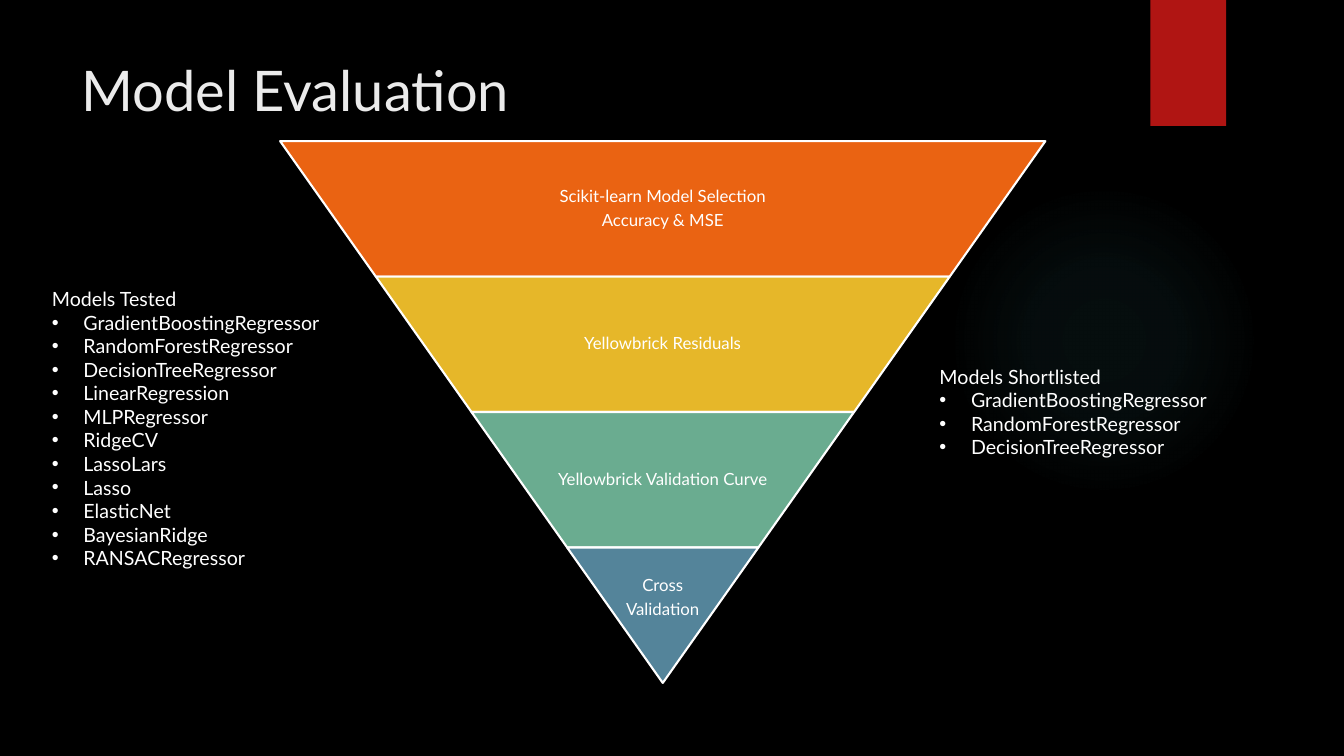
from lxml import etree
from pptx import Presentation
from pptx.dml.color import RGBColor
from pptx.enum.shapes import MSO_SHAPE
from pptx.enum.text import MSO_ANCHOR, PP_ALIGN
from pptx.oxml import parse_xml
from pptx.oxml.ns import nsdecls, qn
from pptx.util import Pt

RECT = MSO_SHAPE.RECTANGLE
OVAL = MSO_SHAPE.OVAL
TRAPEZOID = MSO_SHAPE.TRAPEZOID
TOP, MIDDLE = MSO_ANCHOR.TOP, MSO_ANCHOR.MIDDLE
LEFT, CENTER = PP_ALIGN.LEFT, PP_ALIGN.CENTER

BLACK = RGBColor(0x00, 0x00, 0x00)
WHITE = RGBColor(0xFF, 0xFF, 0xFF)
OFF_WHITE = RGBColor(0xEB, 0xEB, 0xEB)
RED = RGBColor(0xB0, 0x15, 0x13)
ORANGE = RGBColor(0xEA, 0x63, 0x12)
YELLOW = RGBColor(0xE6, 0xB7, 0x29)
GREEN = RGBColor(0x6A, 0xAC, 0x90)
BLUE = RGBColor(0x54, 0x84, 0x9A)
TEAL = RGBColor(0x50, 0xB9, 0xC1)

FUNNEL_CENTER, FUNNEL_TOP = 473.4, 100.8
LAYER_HEIGHT, LAYER_STEP = 96.75, 136.65
LAYERS = [
    (ORANGE, ["Scikit-learn Model Selection", "Accuracy & MSE"], 0),
    (YELLOW, ["Yellowbrick Residuals"], 0),
    (GREEN, ["Yellowbrick Validation Curve"], 0),
    (BLUE, ["Cross", "Validation"], 24),
]
SHORTLISTED = ["GradientBoostingRegressor", "RandomForestRegressor",
               "DecisionTreeRegressor"]
TESTED = SHORTLISTED + ["LinearRegression", "MLPRegressor", "RidgeCV",
                        "LassoLars", "Lasso", "ElasticNet",
                        "BayesianRidge", "RANSACRegressor"]


def write(p, text, size=14, color=WHITE, font="Lato", align=LEFT,
          spacing=1.0, after=0, bullet=False):
    p.alignment = align
    p.line_spacing = spacing
    p.space_after = Pt(after)
    r = p.add_run()
    r.text = text
    r.font.name = font
    r.font.size = Pt(size)
    r.font.color.rgb = color
    if bullet:
        ppr = p._p.get_or_add_pPr()
        ppr.set("marL", str(Pt(22.5)))
        ppr.set("indent", str(-Pt(22.5)))
        etree.SubElement(ppr, qn("a:buFont")).set("typeface", "Arial")
        etree.SubElement(ppr, qn("a:buChar")).set("char", "•")


class SlideBuilder:
    def __init__(self, slide, line_color=WHITE, line_width=1.5):
        self.s = slide
        self.line_color = line_color
        self.line_width = line_width

    def background(self, color):
        fill = self.s.background.fill
        fill.solid()
        fill.fore_color.rgb = color

    def shape(self, kind, x, y, w, h, color, outlined=False):
        sp = self.s.shapes.add_shape(kind, Pt(x), Pt(y), Pt(w), Pt(h))
        sp.shadow.inherit = False
        sp.fill.solid()
        sp.fill.fore_color.rgb = color
        if outlined:
            sp.line.color.rgb = self.line_color
            sp.line.width = Pt(self.line_width)
        else:
            sp.line.fill.background()
        return sp

    def glow(self, x, y, size, color, stops):
        sp = self.shape(OVAL, x, y, size, size, color)
        gs = "".join(
            f'<a:gs pos="{pos * 1000}"><a:srgbClr val="{color}">'
            f'<a:alpha val="{alpha * 1000}"/></a:srgbClr></a:gs>'
            for pos, alpha in stops)
        grad = parse_xml(
            f'<a:gradFill {nsdecls("a")}><a:gsLst>{gs}</a:gsLst>'
            '<a:path path="circle"><a:fillToRect l="50000" t="50000" '
            'r="50000" b="50000"/></a:path></a:gradFill>')
        solid = sp._element.spPr.find(qn("a:solidFill"))
        solid.getparent().replace(solid, grad)

    def text(self, x, y, w, h, lines, anchor=TOP, insets=(7.2, 3.6, 7.2, 3.6),
             bullets_from=None, **style):
        sp = self.s.shapes.add_textbox(Pt(x), Pt(y), Pt(w), Pt(h))
        tf = sp.text_frame
        tf.word_wrap = True
        tf.vertical_anchor = anchor
        tf.margin_left, tf.margin_top, tf.margin_right, tf.margin_bottom = (
            Pt(v) for v in insets)
        for i, line in enumerate(lines):
            p = tf.add_paragraph() if i else tf.paragraphs[0]
            bullet = bullets_from is not None and i >= bullets_from
            write(p, line, bullet=bullet, **style)

    def funnel_layer(self, index, color, lines, lift):
        w = LAYER_STEP * (len(LAYERS) - index)
        x = FUNNEL_CENTER - w / 2
        y = FUNNEL_TOP + LAYER_HEIGHT * index
        sp = self.shape(TRAPEZOID, x, y, w, LAYER_HEIGHT, color, outlined=True)
        sp.rotation = 180
        sp.adjustments[0] = LAYER_STEP / 2 / LAYER_HEIGHT
        self.text(x, y, w, LAYER_HEIGHT, lines, anchor=MIDDLE,
                  insets=(1.2, 1.2, 1.2, 1.2 + lift), size=12,
                  align=CENTER, spacing=0.9, after=4.2)

    def model_list(self, x, y, h, heading, models):
        self.text(x, y, 284.4, h, [heading] + models, bullets_from=1)


def main():
    prs = Presentation()
    prs.slide_width, prs.slide_height = Pt(960), Pt(540)
    b = SlideBuilder(prs.slides.add_slide(prs.slide_layouts[6]))
    b.background(BLACK)
    b.glow(677.5, 131.8, 221.8, TEAL, [(0, 7), (36, 6), (69, 0)])
    b.shape(RECT, 821.8, 0, 54, 90, RED)
    b.text(51.1, 36, 740.9, 64.8, ["Model Evaluation"], size=40,
           color=OFF_WHITE)
    for i, layer in enumerate(LAYERS):
        b.funnel_layer(i, *layer)
    b.model_list(30, 201.6, 211, "Models Tested", TESTED)
    b.model_list(664, 257, 75, "Models Shortlisted", SHORTLISTED)
    prs.save("out.pptx")


if __name__ == "__main__":
    main()
